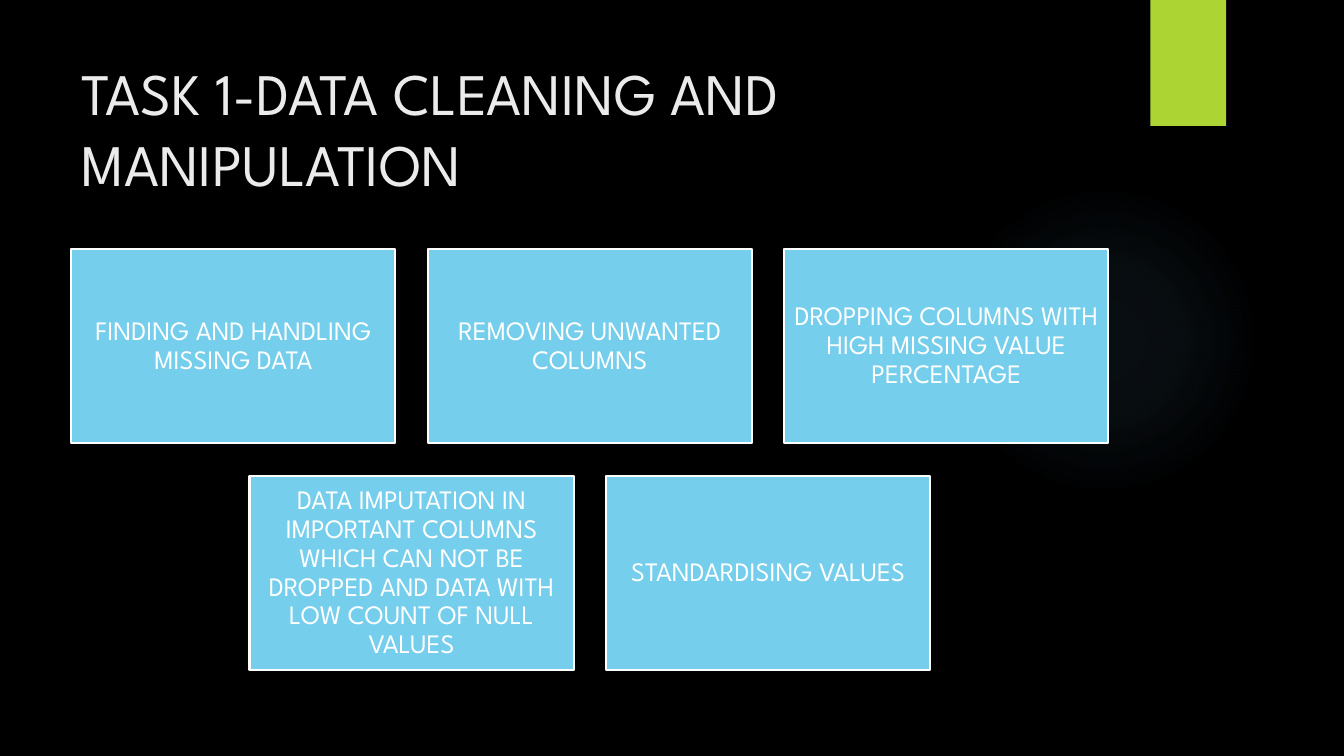
import dataclasses

import pptx
import pptx.dml.color
import pptx.enum.shapes
import pptx.enum.text
import pptx.oxml
import pptx.oxml.ns
import pptx.util

Pt = pptx.util.Pt
RGB = pptx.dml.color.RGBColor.from_string
SHAPE = pptx.enum.shapes.MSO_SHAPE
ALIGN = pptx.enum.text.PP_ALIGN
ANCHOR = pptx.enum.text.MSO_ANCHOR


@dataclasses.dataclass(frozen=True)
class Theme:
    font: str = "League Spartan"
    background: str = "000000"
    glow: str = "7AC4F0"
    accent: str = "ACD433"
    title: str = "EBEBEB"
    card: str = "75CEEC"
    card_text: str = "FFFFFF"
    title_size: int = 42
    card_size: int = 19


theme = Theme()


def add_plain_shape(kind, left, top, width, height, color):
    shape = slide.shapes.add_shape(kind, Pt(left), Pt(top), Pt(width), Pt(height))
    shape.shadow.inherit = False
    shape.fill.solid()
    shape.fill.fore_color.rgb = RGB(color)
    shape.line.fill.background()
    return shape


def add_text(paragraph, text, size, color):
    run = paragraph.add_run()
    run.text = text
    run.font.name = theme.font
    run.font.size = Pt(size)
    run.font.color.rgb = RGB(color)


# Slide
deck = pptx.Presentation()
deck.slide_width, deck.slide_height = Pt(960), Pt(540)
slide = deck.slides.add_slide(deck.slide_layouts[5])
slide.background.fill.solid()
slide.background.fill.fore_color.rgb = RGB(theme.background)

# Soft glow behind everything, fading outwards
glow = add_plain_shape(SHAPE.OVAL, 677.5, 131.8, 221.8, 221.8, theme.glow)
stops = "".join(
    f'<a:gs pos="{position * 1000}"><a:srgbClr val="{theme.glow}">'
    f'<a:alpha val="{opacity * 1000}"/></a:srgbClr></a:gs>'
    for position, opacity in ((0, 7), (36, 6), (69, 0))
)
gradient = pptx.oxml.parse_xml(
    f'<a:gradFill {pptx.oxml.ns.nsdecls("a")}><a:gsLst>{stops}</a:gsLst>'
    '<a:path path="circle"><a:fillToRect l="50000" t="50000" r="50000" b="50000"/>'
    "</a:path></a:gradFill>"
)
glow_properties = glow.element.spPr
solid = glow_properties.find(pptx.oxml.ns.qn("a:solidFill"))
glow_properties.replace(solid, gradient)
slide.shapes.element.insert(2, glow.element)

# Accent tab at the top edge
add_plain_shape(SHAPE.RECTANGLE, 821.8, 0, 54, 90, theme.accent)

# Title
title = slide.shapes.title
title.left, title.top, title.width, title.height = Pt(51.1), Pt(36), Pt(741), Pt(110)
title.text_frame.word_wrap = True
title.text_frame.auto_size = pptx.enum.text.MSO_AUTO_SIZE.NONE
title.text_frame.vertical_anchor = ANCHOR.MIDDLE
heading = title.text_frame.paragraphs[0]
heading.alignment = ALIGN.LEFT
add_text(heading, "TASK 1-DATA CLEANING AND MANIPULATION", theme.title_size, theme.title)

# Cleaning steps: each row of cards is centred on the same axis
step_rows = [
    [
        "FINDING AND HANDLING MISSING DATA",
        "REMOVING UNWANTED COLUMNS",
        "DROPPING COLUMNS WITH HIGH MISSING VALUE PERCENTAGE",
    ],
    [
        "DATA IMPUTATION IN IMPORTANT COLUMNS WHICH CAN NOT BE DROPPED "
        "AND DATA WITH LOW COUNT OF NULL VALUES",
        "STANDARDISING VALUES",
    ],
]
card_width, card_height, gap = 231.5, 139, 23.15
cards_top, cards_center = 177.7, 421.3

for row, steps in enumerate(step_rows):
    row_width = len(steps) * (card_width + gap) - gap
    top = cards_top + row * (card_height + gap)
    for column, step in enumerate(steps):
        left = cards_center - row_width / 2 + column * (card_width + gap)
        card = add_plain_shape(
            SHAPE.RECTANGLE, left, top, card_width, card_height, theme.card
        )
        card.line.color.rgb = RGB(theme.card_text)
        card.line.width = Pt(1.5)
        frame = card.text_frame
        frame.word_wrap = True
        frame.vertical_anchor = ANCHOR.MIDDLE
        frame.margin_left = frame.margin_right = Pt(5.7)
        frame.margin_top = frame.margin_bottom = Pt(5.7)
        label = frame.paragraphs[0]
        label.alignment = ALIGN.CENTER
        label.line_spacing = 0.9
        add_text(label, step, theme.card_size, theme.card_text)

deck.save("out.pptx")
